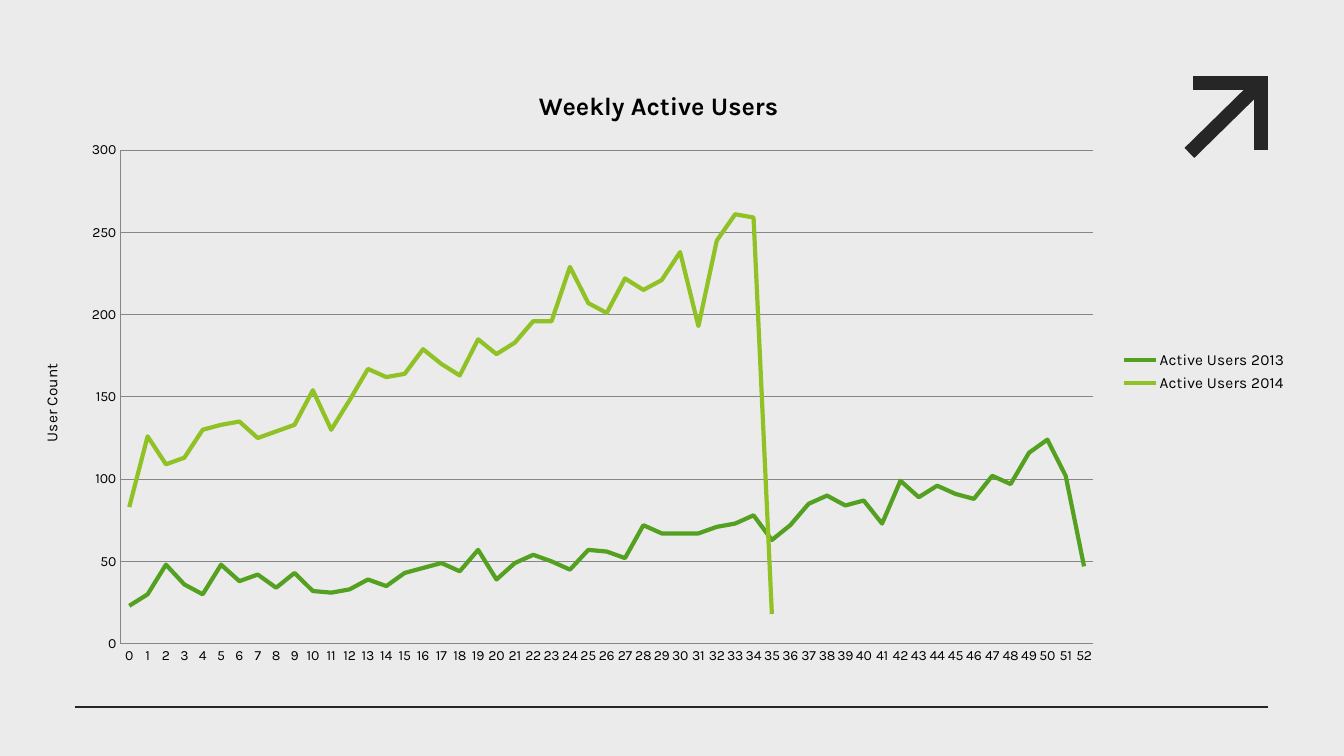
from lxml.etree import SubElement
from pptx import Presentation
from pptx.chart.data import CategoryChartData
from pptx.dml.color import RGBColor
from pptx.enum.chart import XL_CHART_TYPE, XL_LEGEND_POSITION, XL_TICK_MARK
from pptx.enum.shapes import MSO_CONNECTOR
from pptx.oxml import parse_xml
from pptx.oxml.ns import nsdecls, qn
from pptx.util import Cm, Pt


def color(value):
    return RGBColor.from_string(value)


def style_text(font, size, bold=False):
    font.name = "Karla"
    font.size = Pt(size)
    font.bold = bold
    font.color.rgb = color("000000")


deck = Presentation()
deck.slide_width, deck.slide_height = Cm(33.87), Cm(19.05)
slide = deck.slides.add_slide(deck.slide_layouts[6])
slide.background.fill.solid()
slide.background.fill.fore_color.rgb = color("EBEBEB")

strokes = [
    (30.23, 2.08, 31.75, 2.08, 10, "sq"),
    (31.78, 2.08, 31.78, 3.61, 10, "sq"),
    (30.1, 3.73, 31.6, 2.26, 10, "sq"),
    (1.9, 17.81, 31.95, 17.81, 1.5, "flat"),
]
for left, top, right, bottom, weight, cap in strokes:
    stroke = slide.shapes.add_connector(
        MSO_CONNECTOR.STRAIGHT, Cm(left), Cm(top), Cm(right), Cm(bottom))
    stroke.line.color.rgb = color("262626")
    stroke.line.width = Pt(weight)
    properties = stroke._element.spPr
    properties.find(qn("a:ln")).set("cap", cap)
    SubElement(properties, qn("a:effectLst"))

users_2013 = [
    23, 30, 48, 36, 30, 48, 38, 42, 34, 43, 32, 31, 33, 39, 35, 43, 46, 49,
    44, 57, 39, 49, 54, 50, 45, 57, 56, 52, 72, 67, 67, 67, 71, 73, 78, 63,
    72, 85, 90, 84, 87, 73, 99, 89, 96, 91, 88, 102, 97, 116, 124, 102, 47]
users_2014 = [
    83, 126, 109, 113, 130, 133, 135, 125, 129, 133, 154, 130, 148, 167, 162,
    164, 179, 170, 163, 185, 176, 183, 196, 196, 229, 207, 201, 222, 215, 221,
    238, 193, 245, 261, 259, 18]
weeks = len(users_2013)
weekly_data = CategoryChartData()
weekly_data.categories = [str(week) for week in range(weeks)]
weekly_data.add_series("Active Users 2013", users_2013)
weekly_data.add_series(
    "Active Users 2014", users_2014 + [None] * (weeks - len(users_2014)))

chart = slide.shapes.add_chart(
    XL_CHART_TYPE.LINE, Cm(0.48), Cm(1.7), Cm(32.23), Cm(15.32), weekly_data).chart
style_text(chart.font, 10)
chart.has_title = True
chart.chart_title.text_frame.text = "Weekly Active Users"
style_text(chart.chart_title.text_frame.paragraphs[0].runs[0].font, 18, True)
chart.has_legend = True
chart.legend.position = XL_LEGEND_POSITION.RIGHT
chart.legend.include_in_layout = False
style_text(chart.legend.font, 11)

chart.plots[0].vary_by_categories = False
for series, shade in zip(chart.plots[0].series, ("54A021", "90C226")):
    series.smooth = False
    series.format.line.color.rgb = color(shade)
    series.format.line.width = Pt(3)

week_axis, count_axis = chart.category_axis, chart.value_axis
count_axis.minimum_scale, count_axis.maximum_scale = 0, 300
count_axis.major_unit = 50
count_axis.has_major_gridlines = True
for axis in (week_axis, count_axis):
    axis.major_tick_mark = XL_TICK_MARK.NONE
    axis.minor_tick_mark = XL_TICK_MARK.NONE
    style_text(axis.tick_labels.font, 10)
for rule in (week_axis, count_axis, count_axis.major_gridlines):
    rule.format.line.color.rgb = color("868686")
    rule.format.line.width = Pt(0.75)
week_axis._element.find(qn("c:noMultiLvlLbl")).addprevious(
    parse_xml(f'<c:tickLblSkip {nsdecls("c")} val="1"/>'))

count_title = count_axis.axis_title.text_frame
count_title.text = "User Count"
style_text(count_title.paragraphs[0].runs[0].font, 11)
count_title._txBody.find(qn("a:bodyPr")).set("rot", "-5400000")

plot_area = chart._chartSpace.chart.plotArea
for old_layout in plot_area.findall(qn("c:layout")):
    plot_area.remove(old_layout)
plot_area.insert(0, parse_xml(
    f'<c:layout {nsdecls("c")}><c:manualLayout><c:layoutTarget val="inner"/>'
    '<c:xMode val="edge"/><c:yMode val="edge"/><c:x val="0.079"/>'
    '<c:y val="0.136"/><c:w val="0.761"/><c:h val="0.812"/>'
    '</c:manualLayout></c:layout>'))

deck.save("out.pptx")
